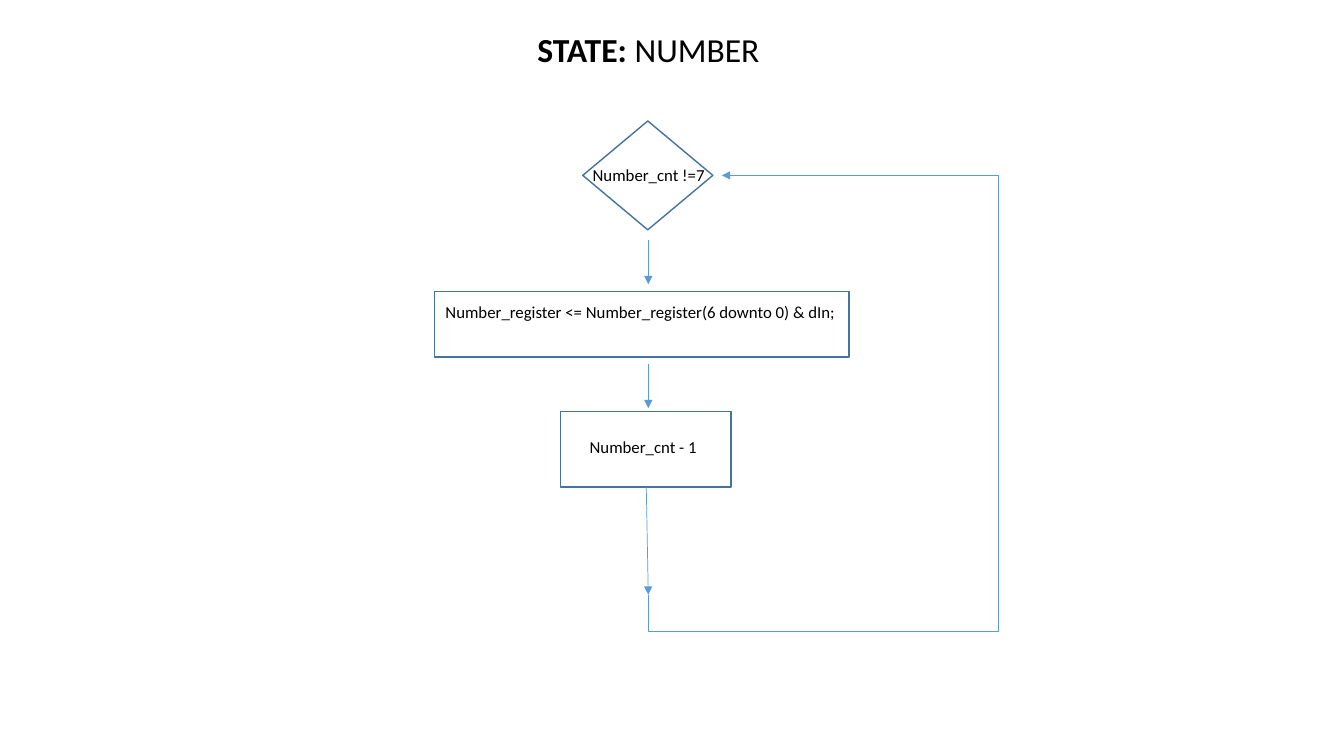
from dataclasses import dataclass

from lxml import etree
from pptx import Presentation
from pptx.dml.color import RGBColor
from pptx.enum.shapes import MSO_CONNECTOR, MSO_SHAPE
from pptx.enum.text import MSO_ANCHOR, PP_ALIGN
from pptx.oxml.ns import qn
from pptx.util import Inches, Pt


@dataclass(frozen=True)
class Theme:
    font: str = "Calibri"
    text: RGBColor = RGBColor(0, 0, 0)
    outline: RGBColor = RGBColor(0x43, 0x73, 0x9E)
    arrow: RGBColor = RGBColor(0x5B, 0x9B, 0xD5)
    title_size: float = 24
    label_size: float = 12
    outline_width: float = 1
    arrow_width: float = 0.5


THEME = Theme()


def add_run(paragraph, text, size, bold=False):
    run = paragraph.add_run()
    run.text = text
    run.font.name = THEME.font
    run.font.size = Pt(size)
    run.font.bold = bold
    run.font.color.rgb = THEME.text


def add_title(slide, box):
    title = slide.shapes.title
    title.left, title.top, title.width, title.height = map(Inches, box)
    frame = title.text_frame
    frame.word_wrap = True
    frame.vertical_anchor = MSO_ANCHOR.TOP
    paragraph = frame.paragraphs[0]
    paragraph.alignment = PP_ALIGN.LEFT
    add_run(paragraph, "STATE: ", THEME.title_size, bold=True)
    add_run(paragraph, "NUMBER", THEME.title_size)


def add_step(slide, kind, box, text, label_offset, label_width):
    """Outlined step with a label placed from the step's top left corner."""
    step = slide.shapes.add_shape(kind, *map(Inches, box))
    step.shadow.inherit = False
    step.fill.background()
    step.line.color.rgb = THEME.outline
    step.line.width = Pt(THEME.outline_width)

    left, top = box[0] + label_offset[0], box[1] + label_offset[1]
    label = slide.shapes.add_textbox(
        Inches(left), Inches(top), Inches(label_width), Inches(0.3))
    label.text_frame.word_wrap = True
    add_run(label.text_frame.paragraphs[0], text, THEME.label_size)


def add_arrow(slide, start, end, kind=MSO_CONNECTOR.STRAIGHT):
    arrow = slide.shapes.add_connector(kind, *map(Inches, (*start, *end)))
    arrow.line.color.rgb = THEME.arrow
    arrow.line.width = Pt(THEME.arrow_width)
    properties = arrow._element.spPr
    etree.SubElement(properties.find(qn("a:ln")), qn("a:tailEnd"), type="triangle")
    etree.SubElement(properties, qn("a:effectLst"))
    return arrow


def add_loop_back(slide, start, end, low, right):
    """Elbow arrow that leaves downwards, runs along low and right, then enters end."""
    run, rise = end[0] - start[0], start[1] - end[1]
    middle_x, middle_y = (start[0] + end[0]) / 2, (start[1] + end[1]) / 2
    # Lay the frame on its side: a quarter turn brings it upright
    loop = add_arrow(slide,
                     (middle_x + rise / 2, middle_y + run / 2),
                     (middle_x - rise / 2, middle_y - run / 2),
                     MSO_CONNECTOR.ELBOW)
    properties = loop._element.spPr
    properties.find(qn("a:xfrm")).set("rot", str(90 * 60000))
    geometry = properties.find(qn("a:prstGeom"))
    geometry.set("prst", "bentConnector4")
    guides = geometry.find(qn("a:avLst"))
    bends = (start[1] - low) / rise, (right - start[0]) / run
    for number, bend in enumerate(bends, 1):
        etree.SubElement(guides, qn("a:gd"), name=f"adj{number}",
                         fmla=f"val {round(bend * 100000)}")


def add_flowchart(slide, box):
    left, top, width, height = box
    axis = left + 2.12
    loop_start = (axis, top + 4.7)

    # Steps
    add_step(slide, MSO_SHAPE.DIAMOND, (left + 1.47, top, 1.29, 1.08),
             "Number_cnt !=7", (0, 0.39), 1.37)
    add_step(slide, MSO_SHAPE.RECTANGLE, (left + 1.25, top + 2.88, 1.69, 0.75),
             "Number_cnt - 1", (0.19, 0.2), 1.37)
    add_step(slide, MSO_SHAPE.RECTANGLE, (left, top + 1.69, 4.11, 0.65),
             "Number_register <= Number_register(6 downto 0) & dIn;",
             (0.01, 0.05), 4.23)

    # Arrows
    add_loop_back(slide, loop_start, (left + 2.85, top + 0.54),
                  low=top + height, right=left + width)
    add_arrow(slide, (axis - 0.02, top + 3.63), loop_start)
    for offset in (2.41, 1.18):
        add_arrow(slide, (axis, top + offset), (axis, top + offset + 0.44))


def main():
    deck = Presentation()
    deck.slide_width, deck.slide_height = Inches(13.33), Inches(7.5)
    slide = deck.slides.add_slide(deck.slide_layouts[5])
    add_flowchart(slide, (4.31, 1.2, 5.59, 5.06))
    add_title(slide, (5.23, 0.24, 2.48, 0.5))
    deck.save("out.pptx")


main()
